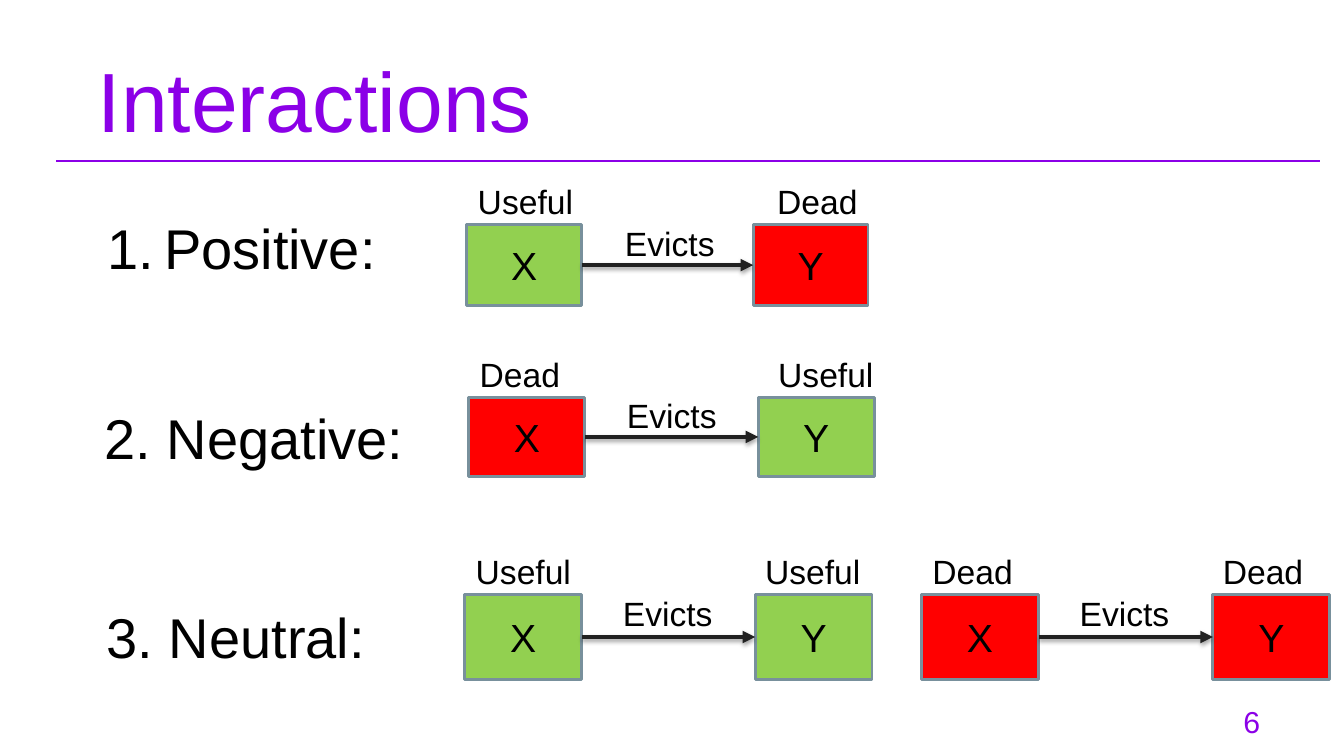
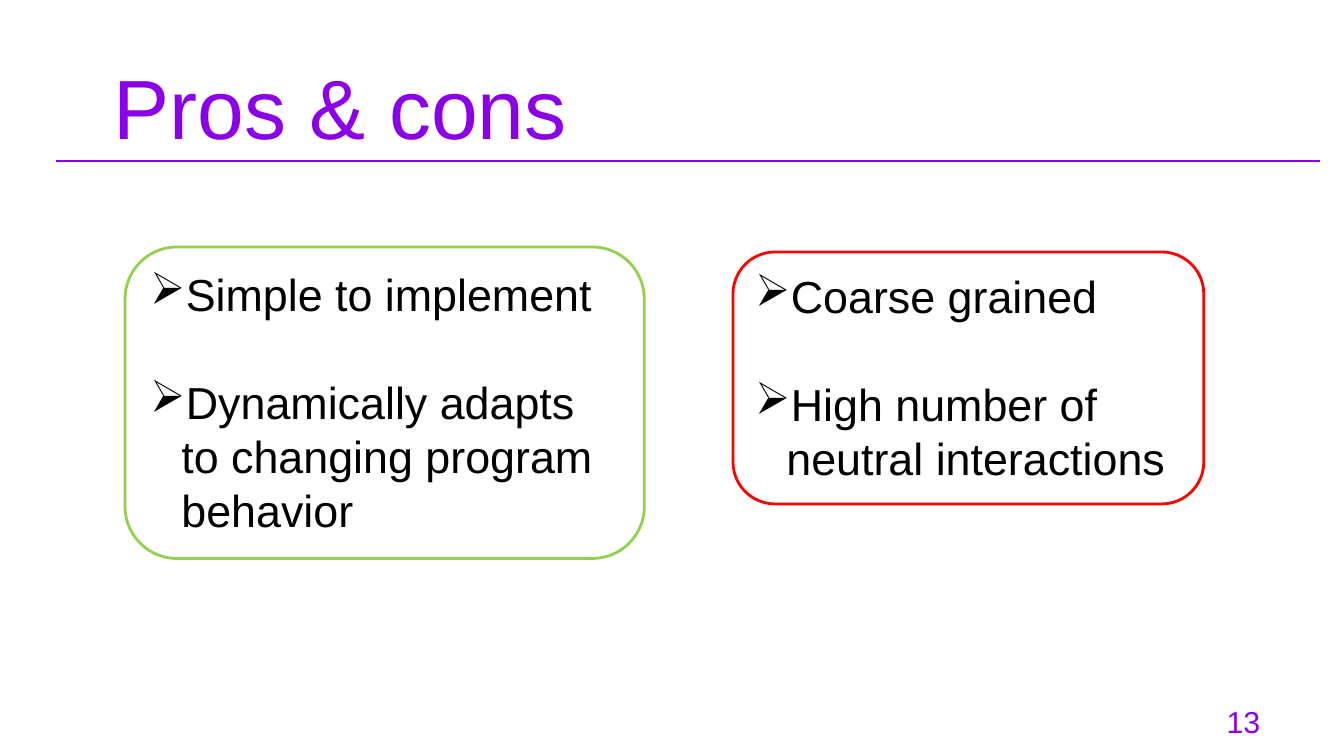
"""Build two slides on cache interactions and on their pros and cons."""
from lxml.etree import SubElement
from pptx import Presentation
from pptx.dml.color import RGBColor
from pptx.enum.shapes import MSO_CONNECTOR, MSO_SHAPE
from pptx.enum.text import MSO_ANCHOR as Anchor, MSO_AUTO_SIZE as Fit, PP_ALIGN as Align
from pptx.oxml.ns import qn
from pptx.util import Inches, Pt

FONT = "Arial"
PURPLE, BLACK, WHITE = "8B00E7", "000000", "FFFFFF"
GREEN, RED, OUTLINE, ARROW = "92D050", "FF0000", "78909C", "212121"
LINE_HEIGHT = 1.2
FILLS = {"Useful": GREEN, "Dead": RED}

HEADINGS = [
    ("Positive:", 0.97, 2.07, True),
    ("2. Negative:", 0.94, 3.95, False),
    ("3. Neutral:", 0.96, 5.93, False),
]
EVICTIONS = [
    {"x": "Useful", "y": "Dead", "at": (4.63, 2.23), "size": (1.14, 0.8), "pitch": 2.84, "shift": 0.14},
    {"x": "Dead", "y": "Useful", "at": (4.65, 3.94), "size": (1.15, 0.79), "pitch": 2.87, "shift": 0.1},
    {"x": "Useful", "y": "Useful", "at": (4.61, 5.9), "size": (1.16, 0.84), "pitch": 2.88, "shift": 0},
    {"x": "Dead", "y": "Dead", "at": (9.14, 5.9), "size": (1.16, 0.84), "pitch": 2.89, "shift": 0},
]
PANELS = [
    (GREEN, (1.24, 2.45, 5.15, 3.09),
     ["Simple to implement", "Dynamically adapts to changing program behavior"]),
    (RED, (7.27, 2.5, 4.67, 2.5),
     ["Coarse grained", "High number of neutral interactions"]),
]


def rgb(color):
    """Turn a hex string into a colour."""
    return RGBColor.from_string(color)


def write(shape, lines, size, color=BLACK, align=Align.LEFT, anchor=Anchor.TOP, inset=None):
    """Fill a shape with formatted paragraphs and return them."""
    frame = shape.text_frame
    frame.text = "\n".join(lines)
    frame.word_wrap = True
    frame.auto_size = Fit.NONE
    frame.vertical_anchor = anchor
    if inset is not None:
        frame.margin_left = frame.margin_right = Inches(inset)
        frame.margin_top = frame.margin_bottom = Inches(inset)
    for paragraph in frame.paragraphs:
        paragraph.alignment = align
        paragraph.line_spacing = Pt(size * LINE_HEIGHT)
        for run in paragraph.runs:
            run.font.name = FONT
            run.font.size = Pt(size)
            run.font.color.rgb = rgb(color)
    return frame.paragraphs


def add_text(slide, text, box, size, **style):
    """Add a one-paragraph text box and return its paragraph."""
    return write(slide.shapes.add_textbox(*map(Inches, box)), [text], size, **style)[0]


def add_box(slide, preset, box, fill, outline):
    """Add a filled and outlined preset shape."""
    shape = slide.shapes.add_shape(preset, *map(Inches, box))
    shape.shadow.inherit = False
    shape.fill.solid()
    shape.fill.fore_color.rgb = rgb(fill)
    shape.line.color.rgb = rgb(outline)
    shape.line.width = Pt(2)
    return shape


def add_line(slide, start, end, color, width):
    """Add a straight connector without a theme shadow."""
    line = slide.shapes.add_connector(MSO_CONNECTOR.STRAIGHT, *map(Inches, start + end))
    line.line.color.rgb = rgb(color)
    line.line.width = Pt(width)
    SubElement(line.element.spPr, qn("a:effectLst"))
    return line


def add_arrow(slide, start, end):
    """Add an arrow with a soft shadow below it."""
    properties = add_line(slide, start, end, ARROW, 3).element.spPr
    SubElement(properties.find(qn("a:ln")), qn("a:tailEnd"), type="triangle")
    shadow = SubElement(properties.find(qn("a:effectLst")), qn("a:outerShdw"),
                        blurRad=str(Pt(3.1)), dist=str(Pt(1.8)), dir="5400000", rotWithShape="0")
    tint = SubElement(shadow, qn("a:srgbClr"), val=BLACK)
    SubElement(tint, qn("a:alpha"), val="35000")


def add_bullet(paragraph, indent, tag, **marker):
    """Give a paragraph a hanging black bullet or number."""
    properties = paragraph._p.get_or_add_pPr()
    properties.set("marL", str(Inches(indent)))
    properties.set("indent", str(-Inches(indent)))
    SubElement(SubElement(properties, qn("a:buClr")), qn("a:srgbClr"), val=BLACK)
    SubElement(properties, qn(tag), **marker)


def add_titled_slide(deck, layout, title, left, top, number):
    """Add a slide with its title and page number."""
    slide = deck.slides.add_slide(layout)
    heading = slide.shapes.title
    heading.left, heading.top = Inches(left), Inches(top)
    heading.width, heading.height = Inches(11.18), Inches(0.84)
    write(heading, [title], 60, PURPLE, inset=0.12)
    add_text(slide, number, (11.77, 6.87, 0.85, 0.57), 21.6, color=PURPLE,
             align=Align.RIGHT, anchor=Anchor.MIDDLE, inset=0.12)
    return slide


def add_eviction(slide, eviction):
    """Draw block X evicting block Y, each under its state."""
    left, top = eviction["at"]
    width, height = eviction["size"]
    right = left + eviction["pitch"]
    middle = top + height / 2
    blocks = [("X", eviction["x"], left, 0.01), ("Y", eviction["y"], right, eviction["shift"])]
    for name, state, x, shift in blocks:
        block = add_box(slide, MSO_SHAPE.RECTANGLE, (x, top, width, height), FILLS[state], OUTLINE)
        write(block, [name], 28, align=Align.CENTER, anchor=Anchor.MIDDLE)
        add_text(slide, state, (x + shift, top - 0.48, 1.2, 0.5), 24)
    add_arrow(slide, (left + width, middle), (right, middle))
    add_text(slide, "Evicts", (left + 1.47, top - 0.07, 1.18, 0.5), 24)


def main():
    """Build and save the deck."""
    deck = Presentation()
    deck.slide_width, deck.slide_height = Inches(13.33), Inches(7.5)
    layout = deck.slide_layouts[5]

    interactions = add_titled_slide(deck, layout, "Interactions", 0.85, 0.36, "6")
    rule = add_line(interactions, (0.56, 1.6), (13.09, 1.6), PURPLE, 1.5)
    layout.shapes.element.append(rule.element)
    for text, left, top, numbered in HEADINGS:
        heading = add_text(interactions, text, (left, top, 3.34, 0.77), 40)
        if numbered:
            add_bullet(heading, 0.56, "a:buAutoNum", type="arabicPeriod")
    for eviction in EVICTIONS:
        add_eviction(interactions, eviction)

    pros_cons = add_titled_slide(deck, layout, "Pros & cons", 1.01, 0.43, "13")
    for outline, box, points in PANELS:
        panel = add_box(pros_cons, MSO_SHAPE.ROUNDED_RECTANGLE, box, WHITE, outline)
        for index, point in enumerate(write(panel, points, 32)):
            point.space_before = Pt(32 * LINE_HEIGHT if index else 0)
            add_bullet(point, 0.31, "a:buChar", char="➢")

    deck.save("out.pptx")


if __name__ == "__main__":
    main()
